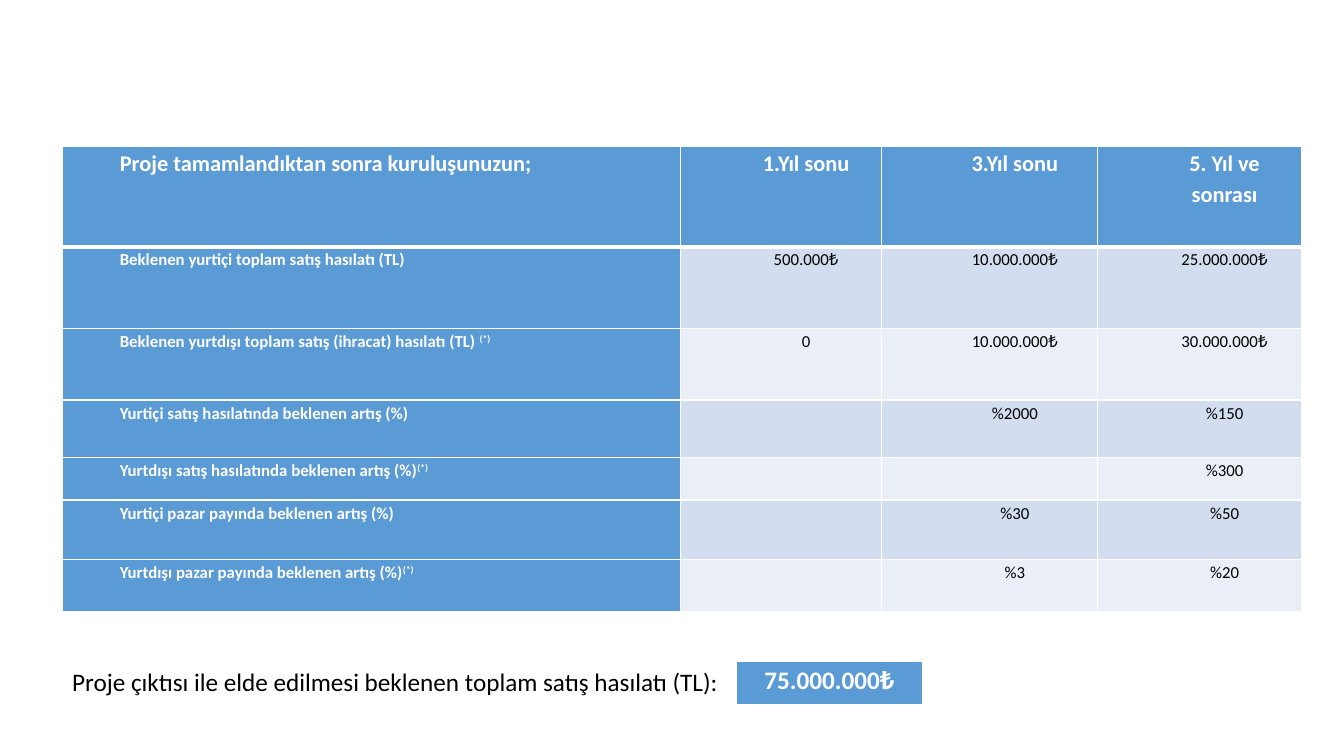
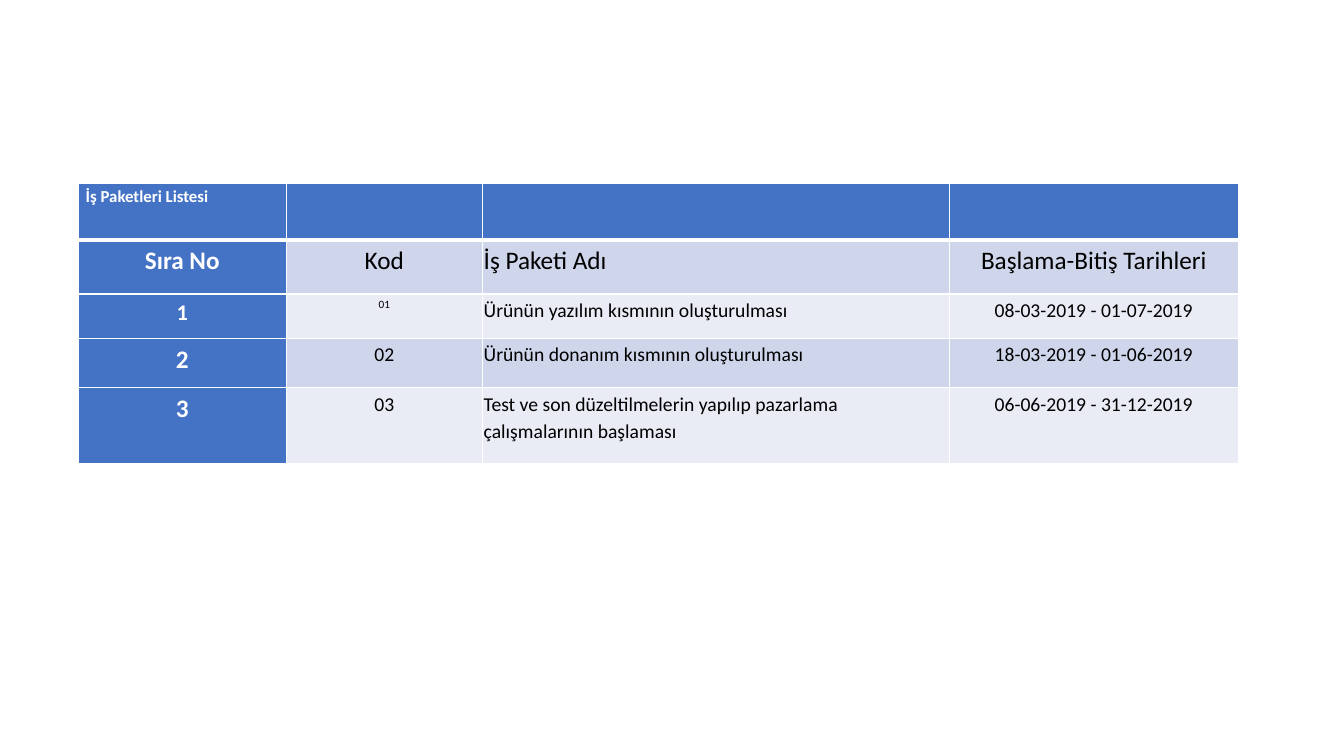
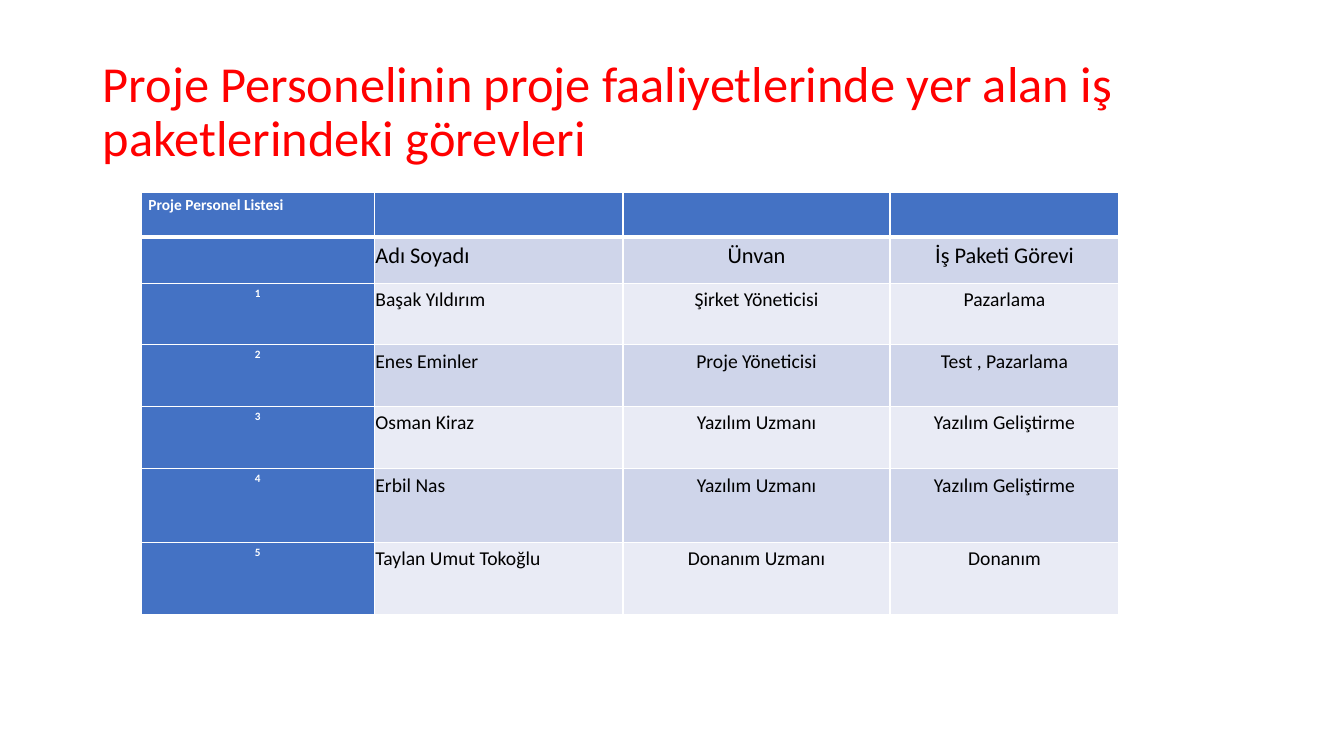
from lxml.etree import SubElement
from pptx import Presentation
from pptx.dml.color import RGBColor
from pptx.enum.text import MSO_ANCHOR, PP_ALIGN
from pptx.oxml.ns import qn
from pptx.util import Cm, Pt

COLORS = {
    "white": "FFFFFF", "black": "000000", "title": "FF0000",
    "sky": "5B9BD5", "sky_dark_band": "D2DEEF", "sky_light_band": "EAEFF7",
    "blue": "4472C4", "blue_dark_band": "CFD5EA", "blue_light_band": "E9EBF5",
}
FONT = "Calibri"
ALIGNMENTS = {"l": PP_ALIGN.LEFT, "c": PP_ALIGN.CENTER}


def write(paragraph, text, size, color, bold=False, spacing=1.0):
    body, mark, _ = text.partition("(*)")
    paragraph.add_run().text = body
    if mark:
        footnote = paragraph.add_run()
        footnote.text = mark
        footnote._r.get_or_add_rPr().set("baseline", "30000")
    paragraph.line_spacing = spacing
    paragraph.font.name = FONT
    paragraph.font.size = Pt(size)
    paragraph.font.bold = bold
    paragraph.font.color.rgb = RGBColor.from_string(COLORS[color])


def add_grid(slide, left, top, widths, rows, theme, indent=0, compact=False):
    heights = [row[0] for row in rows]
    grid = slide.shapes.add_table(len(rows), len(widths), Cm(left), Cm(top),
                                  Cm(sum(widths)), Cm(sum(heights))).table
    grid.first_row = grid.horz_banding = False
    for column, width in zip(grid.columns, widths):
        column.width = Cm(width)
    for r, (height, aligns, sizes, texts) in enumerate(rows):
        grid.rows[r].height = Cm(height)
        tight = compact and r > 0
        for c, (align, size, text) in enumerate(zip(aligns, sizes, texts)):
            cell = grid.cell(r, c)
            heading = r == 0 or c == 0
            cell.margin_left = cell.margin_right = Cm(0.03 if tight else 0.18)
            cell.margin_top = cell.margin_bottom = Cm(0.03 if tight else 0)
            borders = {"lnL": 1, "lnR": 1, "lnT": 3 if r == 1 else 1, "lnB": 3 if r == 0 else 1}
            for side, points in borders.items():
                line = SubElement(cell._tc.get_or_add_tcPr(), qn("a:" + side), w=str(Pt(points)))
                SubElement(SubElement(line, qn("a:solidFill")), qn("a:srgbClr"), val=COLORS["white"])
            band = "_dark_band" if r % 2 else "_light_band"
            cell.fill.solid()
            cell.fill.fore_color.rgb = RGBColor.from_string(COLORS[theme if heading else theme + band])
            if not text:
                continue
            paragraph = cell.text_frame.paragraphs[0]
            write(paragraph, text, size, "white" if heading else "black", heading, 1.15)
            paragraph.alignment = ALIGNMENTS[align]
            if indent:
                paragraph._p.get_or_add_pPr().set("marL", str(Cm(indent)))
            if tight:
                paragraph.space_before = Pt(3.8)


presentation = Presentation()
presentation.slide_width = Cm(33.87)
presentation.slide_height = Cm(19.05)
blank = presentation.slide_layouts[6]

revenue_slide = presentation.slides.add_slide(blank)
forecast = [
    (2.54, ["Proje tamamlandıktan sonra kuruluşunuzun;", "1.Yıl sonu", "3.Yıl sonu", "5. Yıl ve sonrası"]),
    (2.06, ["Beklenen yurtiçi toplam satış hasılatı (TL)", "500.000₺", "10.000.000₺", "25.000.000₺"]),
    (1.8, ["Beklenen yurtdışı toplam satış (ihracat) hasılatı (TL) (*)", "0", "10.000.000₺", "30.000.000₺"]),
    (1.45, ["Yurtiçi satış hasılatında beklenen artış (%)", "", "%2000", "%150"]),
    (1.07, ["Yurtdışı satış hasılatında beklenen artış (%)(*)", "", "", "%300"]),
    (1.5, ["Yurtiçi pazar payında beklenen artış (%)", "", "%30", "%50"]),
    (1.32, ["Yurtdışı pazar payında beklenen artış (%)(*)", "", "%3", "%20"]),
]
forecast_rows = [(height, "lccc", [12 if r else 16] * 4, texts)
                 for r, (height, texts) in enumerate(forecast)]
add_grid(revenue_slide, 1.57, 3.68, [15.57, 5.08, 5.44, 5.13], forecast_rows, "sky", indent=1.27)
total_label = revenue_slide.shapes.add_textbox(Cm(1.57), Cm(16.66), Cm(16.99), Cm(1.02))
total_label.text_frame.word_wrap = False
write(total_label.text_frame.paragraphs[0],
      "Proje çıktısı ile elde edilmesi beklenen toplam satış hasılatı (TL):", 18, "black")
add_grid(revenue_slide, 18.57, 16.66, [4.67], [(1.12, "c", [18], ["75.000.000₺"])], "sky")

packages_slide = presentation.slides.add_slide(blank)
package_rows = [
    (1.42, "lccc", [12] * 4, ["İş Paketleri Listesi", "", "", ""]),
    (1.37, "cclc", [18] * 4, ["Sıra No", "Kod", "İş Paketi Adı", "Başlama-Bitiş Tarihleri"]),
    (1.12, "cclc", [16, 8, 14, 14],
     ["1", "01", "Ürünün yazılım kısmının oluşturulması", "08-03-2019 - 01-07-2019"]),
    (1.24, "cclc", [18, 14, 14, 14],
     ["2", "02", "Ürünün donanım kısmının oluşturulması", "18-03-2019 - 01-06-2019"]),
    (1.91, "cclc", [18, 14, 14, 14],
     ["3", "03", "Test ve son düzeltilmelerin yapılıp pazarlama çalışmalarının başlaması",
      "06-06-2019 - 31-12-2019"]),
]
add_grid(packages_slide, 1.98, 4.62, [5.23, 4.95, 11.76, 7.29], package_rows, "blue", compact=True)

staff_slide = presentation.slides.add_slide(blank)
title = staff_slide.shapes.add_textbox(Cm(2.34), Cm(1.02), Cm(29.21), Cm(3.68)).text_frame
title.word_wrap = True
title.vertical_anchor = MSO_ANCHOR.MIDDLE
write(title.paragraphs[0],
      "Proje Personelinin proje faaliyetlerinde yer alan iş paketlerindeki görevleri",
      36, "title", spacing=0.9)
staff = [
    (1.55, "Başak Yıldırım", "Şirket Yöneticisi", "Pazarlama"),
    (1.55, "Enes Eminler", "Proje Yöneticisi", "Test , Pazarlama"),
    (1.57, "Osman Kiraz", "Yazılım Uzmanı", "Yazılım Geliştirme"),
    (1.85, "Erbil Nas", "Yazılım Uzmanı", "Yazılım Geliştirme"),
    (1.83, "Taylan Umut Tokoğlu", "Donanım Uzmanı", "Donanım"),
]
staff_rows = [
    (1.12, "lccc", [11] * 4, ["Proje Personel Listesi", "", "", ""]),
    (1.17, "clcc", [16] * 4, ["", "Adı Soyadı", "Ünvan", "İş Paketi Görevi"]),
]
for number, (height, *details) in enumerate(staff, 1):
    staff_rows.append((height, "clcc", [8, 14, 14, 14], [str(number), *details]))
add_grid(staff_slide, 3.56, 4.85, [5.87, 6.27, 6.73, 5.77], staff_rows, "blue", compact=True)

presentation.save("out.pptx")
